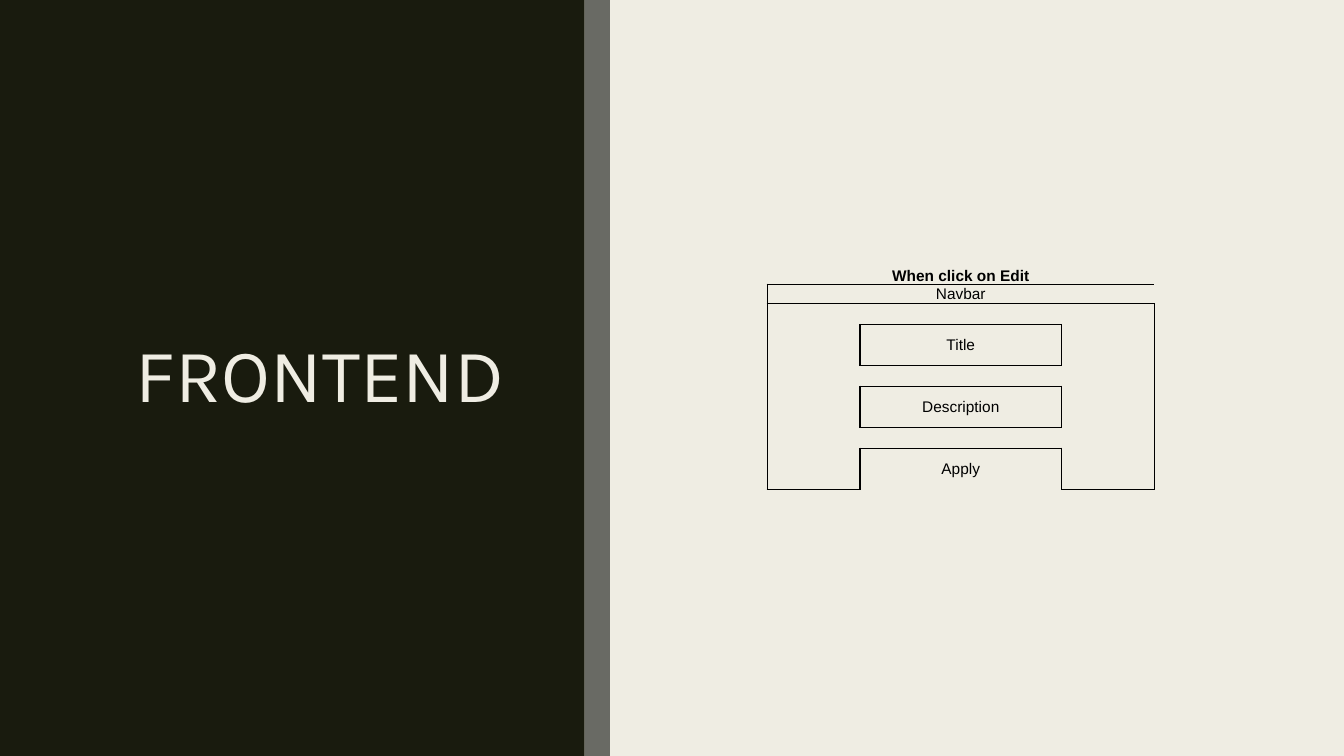
from dataclasses import dataclass
from itertools import product

from lxml.etree import SubElement
from pptx import Presentation
from pptx.dml.color import RGBColor
from pptx.enum.shapes import MSO_SHAPE
from pptx.enum.text import MSO_ANCHOR, PP_ALIGN
from pptx.oxml.ns import qn
from pptx.util import Inches, Pt


@dataclass(frozen=True)
class Theme:
    dark: str = "191B0E"
    light: str = "EFEDE3"
    grey: str = "696A64"
    ink: str = "000000"
    title_font: str = "Karla"
    table_font: str = "Arial"
    title_size: int = 54
    table_size: int = 11
    border: int = 1


THEME = Theme()
FIELDS = ["Title", "Description", "Apply"]
COLUMNS = [0.92, 1.08, 0.92, 0.92]
HEADER_ROWS = [0.22, 0.18]
FIELD_ROW = 0.205
ROWS_PER_FIELD = 3  # one spacer row, then two merged rows


def style_text(para, font, size, color, bold=False):
    for span in para.runs:
        span.font.name = font
        span.font.size = Pt(size)
        span.font.bold = bold
        span.font.color.rgb = RGBColor.from_string(color)


def add_panel(page, box, color):
    panel = page.shapes.add_shape(MSO_SHAPE.RECTANGLE, *map(Inches, box))
    panel.shadow.inherit = False
    panel.fill.solid()
    panel.fill.fore_color.rgb = RGBColor.from_string(color)
    panel.line.fill.background()


def add_title_side(page, box, text):
    left, top, width, height = box
    strip = 0.25
    add_panel(page, (left, top, width - strip, height), THEME.dark)
    add_panel(page, (left + width - strip, top, strip, height), THEME.grey)

    # Title, right aligned inside the dark panel
    title = page.shapes.add_textbox(Inches(left + 0.7), Inches(top + 0.87),
                                    Inches(4.4), Inches(5.76))
    frame = title.text_frame
    frame.word_wrap = True
    frame.vertical_anchor = MSO_ANCHOR.MIDDLE
    frame.text = text
    para = frame.paragraphs[0]
    para.alignment = PP_ALIGN.RIGHT
    para.line_spacing = 0.89
    style_text(para, THEME.title_font, THEME.title_size, THEME.light)


def block_at(row, column):
    """Name the wireframe block a grid cell belongs to."""
    last_row = len(HEADER_ROWS) + ROWS_PER_FIELD * len(FIELDS) - 1
    inside = row <= last_row and 0 <= column < len(COLUMNS)
    if row < 1 or not inside:
        return "outside"
    if row < len(HEADER_ROWS):
        return "navbar"
    field, step = divmod(row - len(HEADER_ROWS), ROWS_PER_FIELD)
    return FIELDS[field] if step and column in (1, 2) else "body"


def set_borders(cell, row, column):
    """Draw a line wherever the neighbouring cell is in another block."""
    neighbours = {"a:lnL": (row, column - 1), "a:lnR": (row, column + 1),
                  "a:lnT": (row - 1, column), "a:lnB": (row + 1, column)}
    properties = cell._tc.get_or_add_tcPr()
    for tag, neighbour in neighbours.items():
        line = SubElement(properties, qn(tag), w=str(Pt(THEME.border)))
        if block_at(row, column) == block_at(*neighbour):
            SubElement(line, qn("a:noFill"))
        else:
            fill = SubElement(line, qn("a:solidFill"))
            SubElement(fill, qn("a:srgbClr"), val=THEME.ink)


def fill_cell(cell, text, bold=False, anchor=MSO_ANCHOR.MIDDLE):
    cell.text = text
    cell.vertical_anchor = anchor
    para = cell.text_frame.paragraphs[0]
    para.alignment = PP_ALIGN.CENTER
    style_text(para, THEME.table_font, THEME.table_size, THEME.ink, bold)


def add_wireframe(page, box):
    heights = HEADER_ROWS + [FIELD_ROW] * ROWS_PER_FIELD * len(FIELDS)
    table = page.shapes.add_table(len(heights), len(COLUMNS),
                                  *map(Inches, box)).table
    table.first_row = table.horz_banding = False
    for row, height in zip(table.rows, heights):
        row.height = Inches(height)
    for column, width in zip(table.columns, COLUMNS):
        column.width = Inches(width)

    # Plain cells with the block outlines
    for row, column in product(range(len(heights)), range(len(COLUMNS))):
        cell = table.cell(row, column)
        cell.margin_left = cell.margin_right = cell.margin_top = Inches(0.01)
        cell.margin_bottom = 0
        set_borders(cell, row, column)
        cell.fill.background()
        para = cell.text_frame.paragraphs[0]
        SubElement(para._p, qn("a:endParaRPr"), sz=str(THEME.table_size * 100))

    # Caption and navbar across the full width
    last_column = len(COLUMNS) - 1
    for row in range(len(HEADER_ROWS)):
        table.cell(row, 0).merge(table.cell(row, last_column))
    fill_cell(table.cell(0, 0), "When click on Edit", True, MSO_ANCHOR.BOTTOM)
    fill_cell(table.cell(1, 0), "Navbar")

    # Form fields in the two middle columns
    for index, name in enumerate(FIELDS):
        row = len(HEADER_ROWS) + ROWS_PER_FIELD * index + 1
        table.cell(row, 1).merge(table.cell(row + 1, 2))
        fill_cell(table.cell(row, 1), name)


deck = Presentation()
deck.slide_width, deck.slide_height = Inches(13.33), Inches(7.5)
page = deck.slides.add_slide(deck.slide_layouts[6])
page.background.fill.solid()
page.background.fill.fore_color.rgb = RGBColor.from_string(THEME.light)
add_title_side(page, (0, 0, 6.05, 7.5), "FRONTEND")
add_wireframe(page, (7.61, 2.6, 3.84, 2.26))
deck.save("out.pptx")
